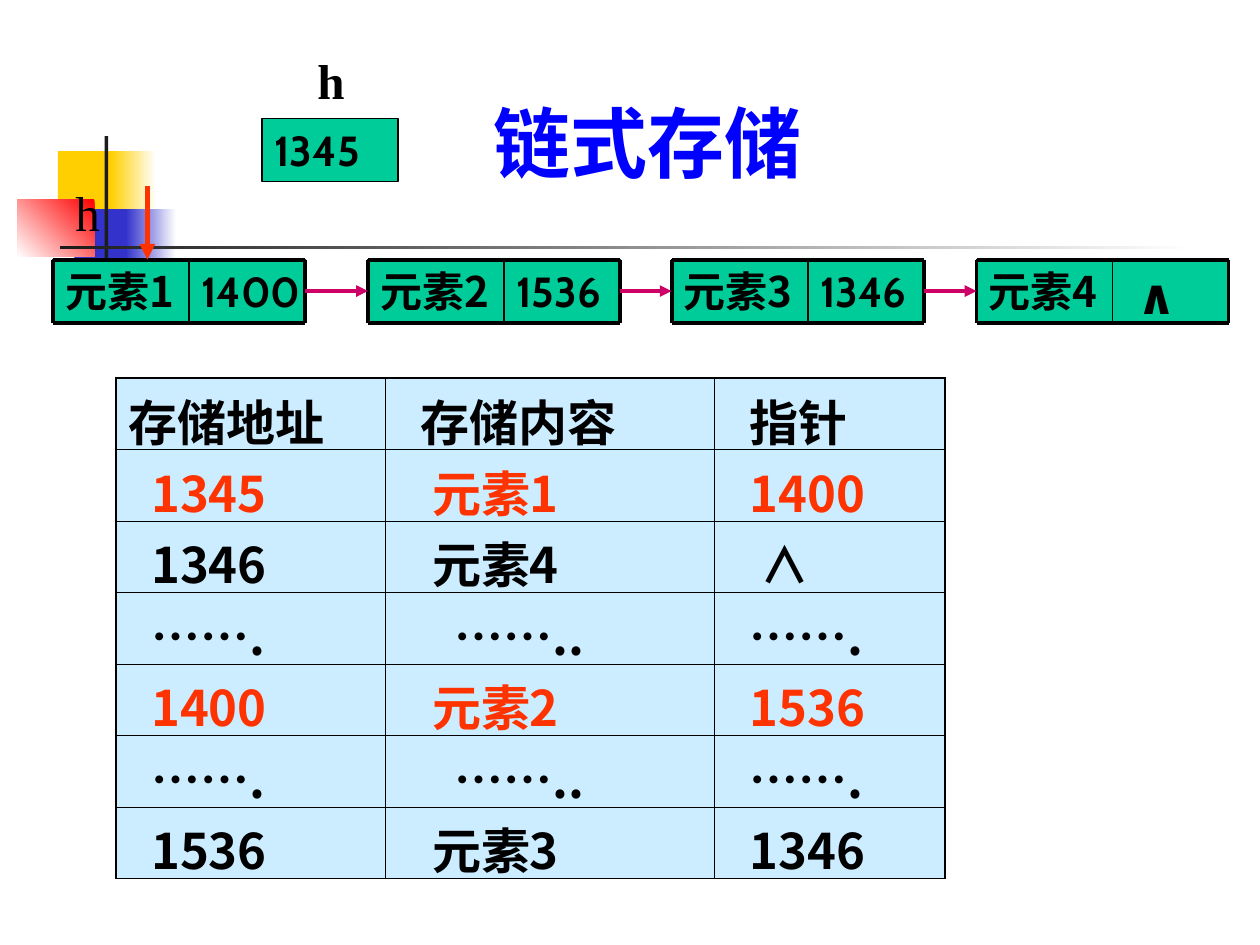
from lxml import etree
from pptx import Presentation
from pptx.dml.color import RGBColor
from pptx.enum.shapes import MSO_CONNECTOR, MSO_SHAPE
from pptx.enum.text import MSO_ANCHOR, MSO_AUTO_SIZE, PP_ALIGN
from pptx.oxml.ns import qn
from pptx.util import Inches, Pt

RECT = MSO_SHAPE.RECTANGLE
STRAIGHT = MSO_CONNECTOR.STRAIGHT
LEFT, TOP, BOTTOM = PP_ALIGN.LEFT, MSO_ANCHOR.TOP, MSO_ANCHOR.BOTTOM

CABIN, CJK, TIMES = "Cabin", "Noto Sans CJK SC", "Times New Roman"
BLACK, WHITE, DARK = "000000", "FFFFFF", "1C1C1C"
RED, BLUE, GREEN, PINK, PALE = "FF3300", "0000FF", "00CC99", "CC0066", "CCECFF"
YELLOW, INDIGO = "FFCF01", "3333CC"

TITLE = "链式存储"
# left, top, width, height, colours (two make a gradient), gradient angle
DECOR = [
    (0.46, 1.2, 0.48, 0.52, [YELLOW], 0),
    (0.88, 1.2, 0.36, 0.52, [WHITE, YELLOW], 180),
    (0.59, 1.66, 0.46, 0.52, [INDIGO], 0),
    (1, 1.66, 0.4, 0.52, [WHITE, INDIGO], 180),
    (0.14, 1.58, 0.61, 0.46, ["FF0000", WHITE], 225),
    (0.83, 1.08, 0.03, 1.15, [DARK], 0),
    (0.48, 1.95, 9, 0.03, [WHITE, DARK], 180),
]
# left, data, pointer, pointer size, pointer indent
NODES = [
    (0.42, "元素1", "1400", 24, 0),
    (2.92, "元素2", "1536", 24, 0),
    (5.33, "元素3", "1346", 24, 0),
    (7.75, "元素4", "∧", 28, 0.09),
]
NODE_TOP, NODE_H, DATA_W, POINTER_W = 2.06, 0.5, 1.08, 0.92
NODE_W = DATA_W + POINTER_W

TABLE = [
    ("存储地址", "存储内容", "指针"),
    ("1345", "元素1", "1400"),
    ("1346", "元素4", "∧"),
    ("…….", "……..", "……."),
    ("1400", "元素2", "1536"),
    ("…….", "……..", "……."),
    ("1536", "元素3", "1346"),
]
COL_WIDTHS = [2.14, 2.61, 1.83]
HEADER_INDENTS, BODY_INDENTS = [0, 0.18, 0.18], [0.18, 0.27, 0.18]
SPECIAL_INDENTS = {"∧": 0.27, "……..": 0.45}
RED_ROWS = {1, 4}
TABLE_LEFT, TABLE_TOP, TABLE_H = 0.92, 3, 3.96

prs = Presentation()
prs.slide_width, prs.slide_height = Inches(10), Inches(7.5)
slide = prs.slides.add_slide(prs.slide_layouts[5])
shapes = slide.shapes


def rgb(color):
    return RGBColor.from_string(color)


def box(values):
    return [Inches(v) for v in values]


def write(tf, text, size, font, color=BLACK, bold=True):
    tf.text = text
    p = tf.paragraphs[0]
    p.alignment = LEFT
    r = p.runs[0]
    r.font.size, r.font.bold, r.font.name = Pt(size), bold, font
    r.font.color.rgb = rgb(color)
    east_asian = etree.SubElement(r.font._element, qn("a:ea"))
    east_asian.set("typeface", font)


def add_line(x1, y1, x2, y2, color, width, arrow=False):
    line = shapes.add_connector(STRAIGHT, *box((x1, y1, x2, y2)))
    line.line.color.rgb = rgb(color)
    line.line.width = Pt(width)
    if arrow:
        etree.SubElement(line.line._get_or_add_ln(), qn("a:tailEnd")).set("type", "triangle")
    etree.SubElement(line._element.spPr, qn("a:effectLst"))


def add_decor(x, y, w, h, colors, angle):
    sp = shapes.add_shape(RECT, *box((x, y, w, h)))
    sp.shadow.inherit = False
    sp.line.fill.background()
    if len(colors) == 1:
        sp.fill.solid()
        sp.fill.fore_color.rgb = rgb(colors[0])
        return
    sp.fill.gradient()
    sp.fill.gradient_angle = angle
    for stop, color, position in zip(sp.fill.gradient_stops, colors, (0, 1)):
        stop.color.rgb = rgb(color)
        stop.position = position


def add_field(x, y, w, text, size, font, indent=0):
    sp = shapes.add_shape(RECT, *box((x, y, w, NODE_H)))
    sp.shadow.inherit = False
    sp.fill.solid()
    sp.fill.fore_color.rgb = rgb(GREEN)
    sp.line.color.rgb = rgb(BLACK)
    sp.line.width = Pt(0.75)
    tf = sp.text_frame
    tf.word_wrap = False
    tf.vertical_anchor = TOP
    tf.margin_left = Inches(0.1 + indent)
    write(tf, text, size, font)


def add_node(x, data, pointer, size, indent):
    split, right, bottom = x + DATA_W, x + NODE_W, NODE_TOP + NODE_H
    add_field(split, NODE_TOP, POINTER_W, pointer, size, CABIN, indent)
    add_field(x, NODE_TOP, DATA_W, data, 24, CJK)
    for y in (NODE_TOP, bottom):
        add_line(x, y, right, y, BLACK, 2.25)
    for edge, width in ((x, 2.25), (split, 1), (right, 2.25)):
        add_line(edge, NODE_TOP, edge, bottom, BLACK, width)


def add_label(x, y, w, bold):
    tf = shapes.add_textbox(*box((x, y, w, 0.57))).text_frame
    tf.word_wrap = bold
    write(tf, "h", 28, TIMES, bold=bold)


def set_borders(cell, outer):
    """Draw the four sides, heavier on those named in outer."""
    tc_pr = cell._tc.get_or_add_tcPr()
    for side in "LRTB":
        ln = etree.SubElement(tc_pr, qn(f"a:ln{side}"))
        ln.set("w", str(Pt(1.08 if side in outer else 0.45)))
        fill = etree.SubElement(ln, qn("a:solidFill"))
        etree.SubElement(fill, qn("a:srgbClr")).set("val", BLACK)


def add_storage_table():
    n_rows, n_cols = len(TABLE), len(COL_WIDTHS)
    frame = shapes.add_table(n_rows, n_cols,
                             *box((TABLE_LEFT, TABLE_TOP, sum(COL_WIDTHS), TABLE_H)))
    table = frame.table
    table.first_row = table.horz_banding = False
    for col, width in zip(table.columns, COL_WIDTHS):
        col.width = Inches(width)
    for i, texts in enumerate(TABLE):
        table.rows[i].height = Inches(TABLE_H / n_rows)
        indents = BODY_INDENTS if i else HEADER_INDENTS
        for j, text in enumerate(texts):
            cell = table.cell(i, j)
            edges = {"L": j == 0, "R": j == n_cols - 1, "T": i == 0, "B": i == n_rows - 1}
            set_borders(cell, [side for side, on in edges.items() if on])
            cell.fill.solid()
            cell.fill.fore_color.rgb = rgb(PALE)
            cell.margin_left = Inches(0.1 + SPECIAL_INDENTS.get(text, indents[j]))
            write(cell.text_frame, text, 28, CJK, RED if i in RED_ROWS else BLACK)


for item in DECOR:
    add_decor(*item)
for node in NODES:
    add_node(*node)
for node, following in zip(NODES, NODES[1:]):
    middle = NODE_TOP + NODE_H / 2
    add_line(node[0] + NODE_W, middle, following[0], middle, PINK, 2.25, arrow=True)

add_field(2.08, 0.94, DATA_W, "1345", 24, CABIN)
add_label(0.5, 1.4, 0.39, False)
add_label(2.42, 0.35, 0.42, True)
add_line(1.17, 1.48, 1.17, NODE_TOP, RED, 3, arrow=True)
add_storage_table()

title = shapes.title
title.left, title.top, title.width, title.height = box((3.82, 0.44, 5.61, 1.1))
title.text_frame.auto_size = MSO_AUTO_SIZE.NONE
title.text_frame.vertical_anchor = BOTTOM
write(title.text_frame, TITLE, 44, CABIN, BLUE)

prs.save("out.pptx")
